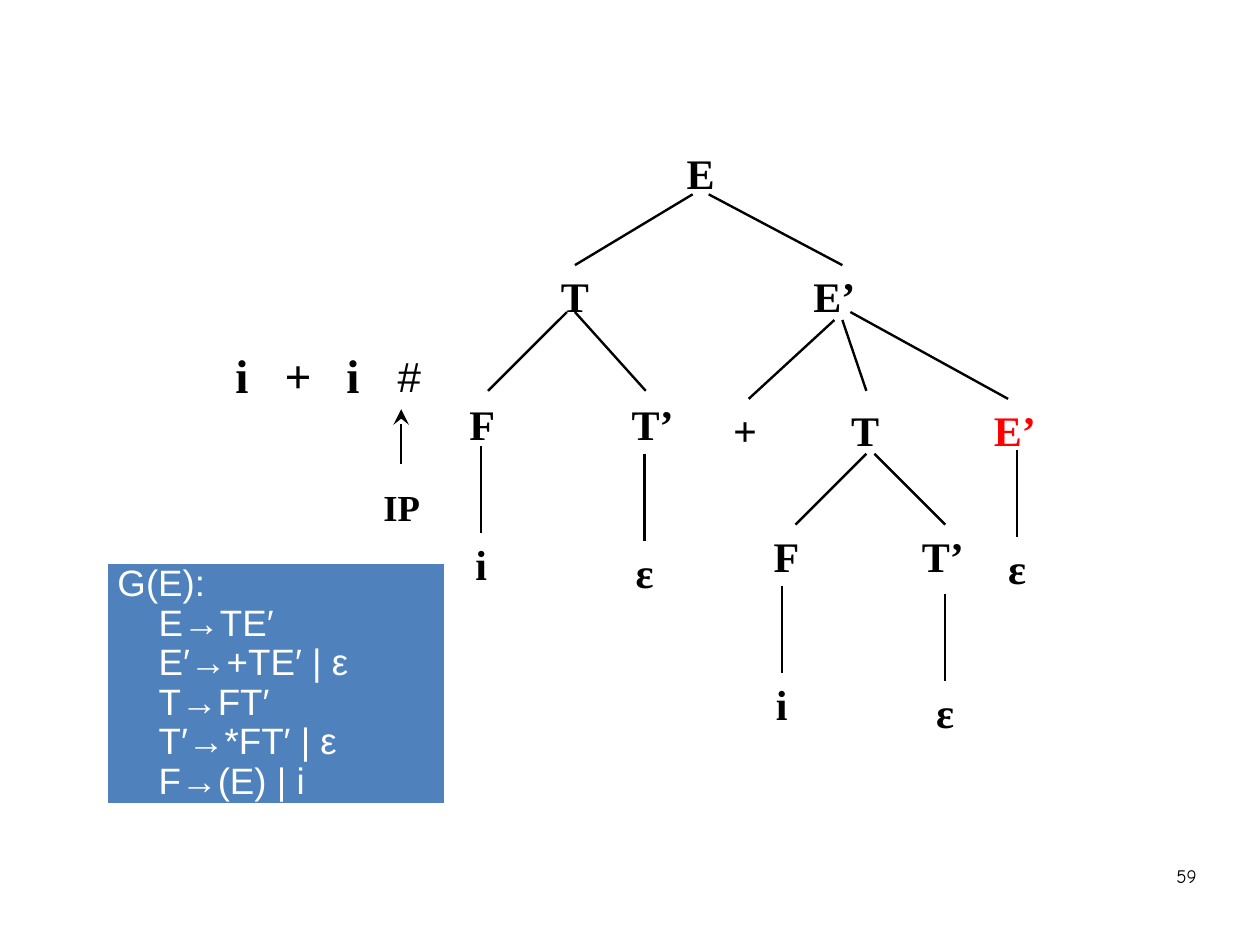
from lxml import etree
from pptx import Presentation
from pptx.dml.color import RGBColor
from pptx.enum import shapes, text
from pptx.oxml.ns import qn
from pptx.util import Inches, Pt

BLACK = RGBColor(0x00, 0x00, 0x00)
RED = RGBColor(0xFF, 0x00, 0x00)
WHITE = RGBColor(0xFF, 0xFF, 0xFF)
BLUE = RGBColor(0x4F, 0x81, 0xBD)
SERIF = "Times New Roman"
SANS = "Arial"
CM_PER_INCH = 2.54
NODE_SIZE = 26.5
LABEL_HEIGHT = 0.55
STEM_LENGTH = 0.76
WIDTHS = {"E": 0.45, "T": 0.45, "F": 0.43, "E’": 0.57, "T’": 0.57,
          "+": 0.41, "i": 0.31, "ε": 0.36}

NODES = [
    ("E", 2.13, 0, BLACK),
    ("T", 1.03, 1.08, BLACK), ("E’", 3.3, 1.08, BLACK),
    ("F", 0.22, 2.2, BLACK), ("T’", 1.71, 2.2, BLACK),
    ("+", 2.52, 2.25, BLACK), ("T", 3.57, 2.25, BLACK), ("E’", 4.88, 2.25, RED),
    ("F", 2.88, 3.35, BLACK), ("T’", 4.25, 3.35, BLACK),
]
BRANCHES = [
    (2.06, 0.46, 1.03, 1.08), (2.2, 0.46, 3.37, 1.08),
    (0.96, 1.49, 0.27, 2.18), (1.03, 1.49, 1.65, 2.18),
    (3.3, 1.56, 2.55, 2.25), (3.37, 1.56, 3.58, 2.18), (3.44, 1.49, 4.82, 2.25),
    (3.58, 2.73, 2.96, 3.35), (3.65, 2.73, 4.27, 3.35),
]
STEMS = [(0.21, 2.66, "i"), (1.64, 2.73, "ε"), (2.84, 3.89, "i"),
         (4.27, 3.96, "ε"), (4.9, 2.7, "ε")]
GRAMMAR = ["G(E):", "E→TE′", "E′→+TE′ | ε", "T→FT′", "T′→*FT′ | ε", "F→(E) | i"]


def style(para, size, name, color, bold=False):
    for span in para.runs:
        span.font.size = Pt(size)
        span.font.name = name
        span.font.color.rgb = color
        span.font.bold = bold


def add_label(page, words, left, top, width, height=LABEL_HEIGHT, size=NODE_SIZE,
              name=SERIF, color=BLACK, bold=True, align=text.PP_ALIGN.CENTER):
    box = page.shapes.add_textbox(Inches(left), Inches(top), Inches(width), Inches(height))
    box.text_frame.word_wrap = False
    para = box.text_frame.paragraphs[0]
    para.text = words
    para.alignment = align
    style(para, size, name, color, bold)
    return box


def add_line(page, x1, y1, x2, y2):
    line = page.shapes.add_connector(shapes.MSO_CONNECTOR.STRAIGHT, Inches(x1), Inches(y1),
                                     Inches(x2), Inches(y2))
    line.line.color.rgb = BLACK
    line.line.width = Pt(1.5)
    etree.SubElement(line._element.spPr, qn("a:effectLst"))
    return line


def add_tree(page, left, top):
    for x1, y1, x2, y2 in BRANCHES:
        add_line(page, left + x1, top + y1, left + x2, top + y2)
    leaves = []
    for x, y, symbol in STEMS:
        add_line(page, left + x, top + y, left + x, top + y + STEM_LENGTH)
        leaves.append((symbol, x, y + STEM_LENGTH, BLACK))
    for symbol, center, y, color in NODES + leaves:
        width = WIDTHS[symbol]
        add_label(page, symbol, left + center - width / 2, top + y, width, color=color)


def add_input(page, left, top):
    tokens = add_label(page, "i\t+\ti", left, top, 1.73, 0.6, size=29.8,
                       align=text.PP_ALIGN.LEFT)
    tokens.text_frame.word_wrap = True
    tokens.text_frame.margin_left = Inches(0.27)
    tab_list = etree.SubElement(tokens.text_frame.paragraphs[0]._p.get_or_add_pPr(),
                                qn("a:tabLst"))
    for position in (0.43, 0.97):
        etree.SubElement(tab_list, qn("a:tab"), pos=str(Inches(position)), algn="l")
    add_label(page, "#", left + 1.59, top + 0.04, 0.41, name=SANS, bold=False,
              align=text.PP_ALIGN.LEFT)
    arrow = add_line(page, left + 1.72, top + 1.08, left + 1.72, top + 0.6)
    etree.SubElement(arrow.line._get_or_add_ln(), qn("a:tailEnd"), type="stealth",
                     w="lg", len="lg")
    add_label(page, "IP", left + 1.46, top + 1.21, 0.53, 0.49, size=23.1)


def add_grammar(page, left, top, width, height):
    panel = page.shapes.add_shape(shapes.MSO_SHAPE.RECTANGLE, Inches(left), Inches(top),
                                  Inches(width), Inches(height))
    panel.shadow.inherit = False
    panel.fill.solid()
    panel.fill.fore_color.rgb = BLUE
    panel.line.color.rgb = WHITE
    panel.line.width = Pt(2)
    frame = panel.text_frame
    frame.word_wrap = False
    frame.vertical_anchor = text.MSO_ANCHOR.MIDDLE
    frame.text = "\n".join(GRAMMAR)
    for index, para in enumerate(frame.paragraphs):
        para.alignment = text.PP_ALIGN.LEFT
        para.line_spacing = 0.9
        if index:
            para._p.get_or_add_pPr().set("marL", str(Inches(0.36)))
        style(para, 23.1, SANS, WHITE)


def add_page_number(page, left, top, width, height):
    number = add_label(page, "59", left, top, width, height, size=12, name="Comic Neue",
                       bold=False, align=text.PP_ALIGN.RIGHT)
    frame = number.text_frame
    frame.word_wrap = True
    frame.margin_left = frame.margin_right = frame.margin_top = frame.margin_bottom = 0
    frame.paragraphs[0].line_spacing = 1.16


def main():
    deck = Presentation()
    deck.slide_width = Inches(28 / CM_PER_INCH)
    deck.slide_height = Inches(21 / CM_PER_INCH)
    page = deck.slides.add_slide(deck.slide_layouts[6])
    add_input(page, 1.79, 2.98)
    add_tree(page, 4, 1.24)
    add_grammar(page, 0.93, 4.92, 2.97, 2.12)
    add_page_number(page, 7.9, 7.53, 2.57, 0.57)
    deck.save("out.pptx")


if __name__ == "__main__":
    main()
